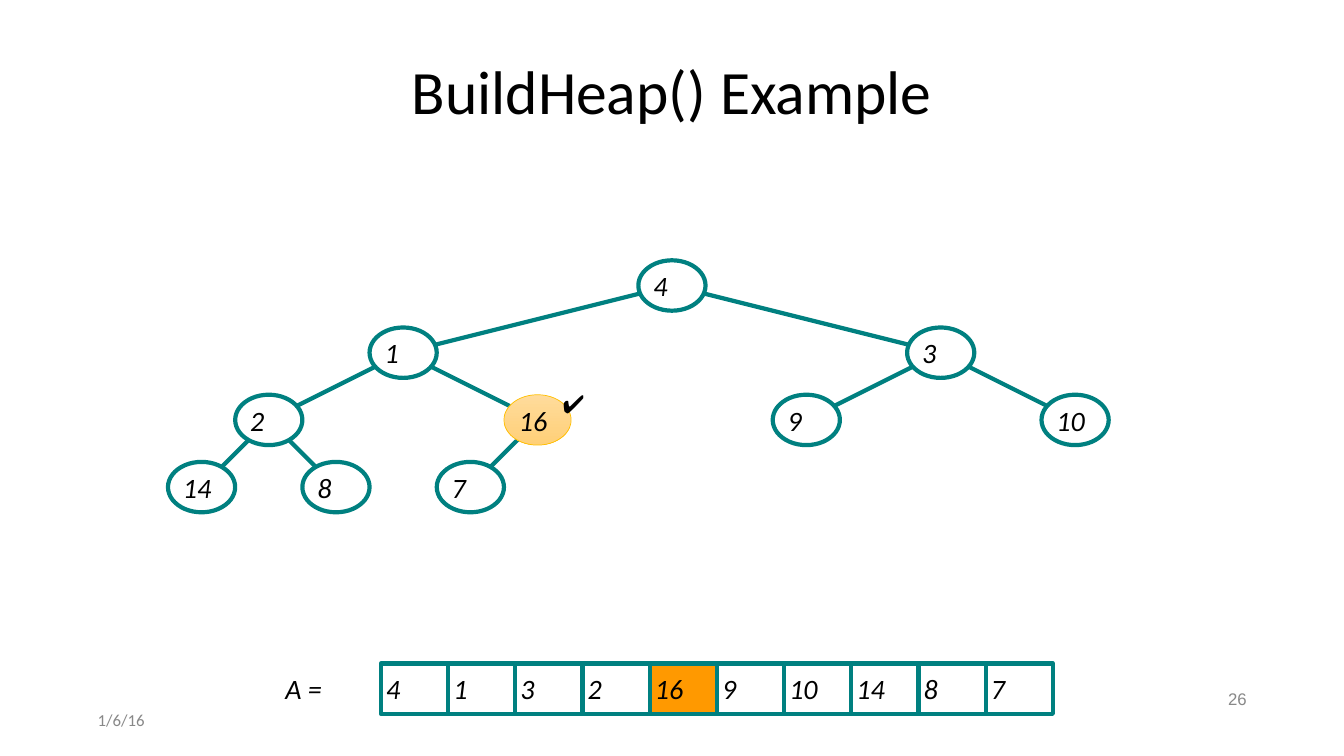
"""Build the BuildHeap() example slide: a heap as a tree and as an array."""
from math import hypot, log2
from lxml import etree
from pptx import Presentation
from pptx import util as u
from pptx.dml.color import RGBColor
from pptx.enum import shapes, text
from pptx.oxml import ns

COLORS = {"ink": "000000", "gray": "888888", "teal": "008080", "white": "FFFFFF",
          "orange": "FF9900", "gold": "FFC000", "light": "FFDB9B", "dark": "FFD078"}
HEAP = [4, 1, 3, 2, 16, 9, 10, 14, 8, 7]
MARK = 4
STEP = 5.08 / 3
HIGH = 1.27
LEFT, CENTER, RIGHT = text.PP_ALIGN.LEFT, text.PP_ALIGN.CENTER, text.PP_ALIGN.RIGHT


def rgb(name):
    """Return the named colour."""
    return RGBColor.from_string(COLORS[name])


def spot(index):
    """Return the left and top of a tree node in centimetres."""
    depth = int(log2(index + 1))
    place = index + 1 - 2 ** depth
    return STEP * (1.5 + (2 * place + 1) * 2 ** (3 - depth)), 6.56 + STEP * depth


class Deck:
    """Hold the style and the current slide."""

    def __init__(self):
        """Start a wide deck with one title-only slide."""
        self.prs = Presentation()
        self.prs.slide_width, self.prs.slide_height = u.Cm(33.87), u.Cm(19.05)
        self.slide = self.prs.slides.add_slide(self.prs.slide_layouts[5])
        self.frame = {"margin_left": u.Cm(0.13), "margin_right": u.Cm(0.13),
                      "margin_top": 0, "margin_bottom": 0, "word_wrap": True,
                      "auto_size": text.MSO_AUTO_SIZE.NONE,
                      "vertical_anchor": text.MSO_ANCHOR.MIDDLE}
        self.font = {"name": "Calibri", "size": u.Pt(20), "italic": True}

    def letter(self, shape, words, color="ink", align=LEFT, space=1.0, **font):
        """Put formatted words in a shape."""
        frame = shape.text_frame
        frame.text = words
        para = frame.paragraphs[0]
        para.font.color.rgb = rgb(color)
        pairs = ((frame, self.frame), (para.font, {**self.font, **font}),
                 (para, {"alignment": align, "line_spacing": space}))
        for item, style in pairs:
            for key, value in style.items():
                setattr(item, key, value)

    def title(self, words, box):
        """Move and fill the title placeholder."""
        shape = self.slide.shapes.title
        for key, value in zip(("left", "top", "width", "height"), box):
            setattr(shape, key, u.Cm(value))
        self.letter(shape, words, align=CENTER, space=0.9, size=u.Pt(44), italic=False)

    def label(self, words, box, **style):
        """Add a text box."""
        self.letter(self.slide.shapes.add_textbox(*map(u.Cm, box)), words, **style)

    def cell(self, kind, value, left, top, fill="white", line="teal", width=3):
        """Add an outlined shape that shows a number."""
        shape = self.slide.shapes.add_shape(kind, *map(u.Cm, (left, top, STEP, HIGH)))
        shape.shadow.inherit = False
        if isinstance(fill, tuple):
            shape.fill.gradient()
            shape.fill.gradient_angle = 270
            for stop, name in zip(shape.fill.gradient_stops, fill):
                stop.color.rgb = rgb(name)
        else:
            shape.fill.solid()
            shape.fill.fore_color.rgb = rgb(fill)
        shape.line.color.rgb = rgb(line)
        shape.line.width = u.Pt(width)
        self.letter(shape, str(value))

    def node(self, index, **style):
        """Add a tree node."""
        self.cell(shapes.MSO_SHAPE.OVAL, HEAP[index], *spot(index), **style)

    def edge(self, child):
        """Join a node to its parent, from rim to rim or to the marked centre."""
        ends = []
        for here, there in (((child - 1) // 2, child), (child, (child - 1) // 2)):
            (x, y), (far, low) = spot(here), spot(there)
            part = 0 if here == MARK else 1 / hypot((far - x) * 2 / STEP,
                                                    (low - y) * 2 / HIGH)
            ends += [x + STEP / 2 + part * (far - x), y + HIGH / 2 + part * (low - y)]
        line = self.slide.shapes.add_connector(shapes.MSO_CONNECTOR.STRAIGHT,
                                               *map(u.Cm, ends))
        line.line.color.rgb = rgb("teal")
        line.line.width = u.Pt(3)
        etree.SubElement(line._element.spPr, ns.qn("a:effectLst"))


def main():
    """Draw and save the slide."""
    deck = Deck()
    deck.title("BuildHeap() Example", (2.33, 1.02, 29.21, 2.72))
    small = {"color": "gray", "size": u.Pt(12), "italic": False}
    deck.label("1/6/16", (2.33, 17.78, 7.62, 0.74), **small)
    deck.label("26", (23.93, 17.28, 7.62, 0.74), align=RIGHT, space=0.9, name="Arial", **small)
    for index in range(len(HEAP)):
        if index != MARK:
            deck.node(index)
    for child in range(1, len(HEAP)):
        deck.edge(child)
    deck.node(MARK, fill=("light", "dark"), line="gold", width=0.5)
    for index, value in enumerate(HEAP):
        deck.cell(shapes.MSO_SHAPE.RECTANGLE, value, 9.6 + index * STEP, 16.72,
                  fill="orange" if index == MARK else "white")
    deck.label("A =", (7.06, 16.81, 1.5, 1.09))
    deck.label("✔︎", (14.05, 9.72, 0.9, 0.9), size=u.Pt(18), italic=False)
    deck.prs.save("out.pptx")


if __name__ == "__main__":
    main()
